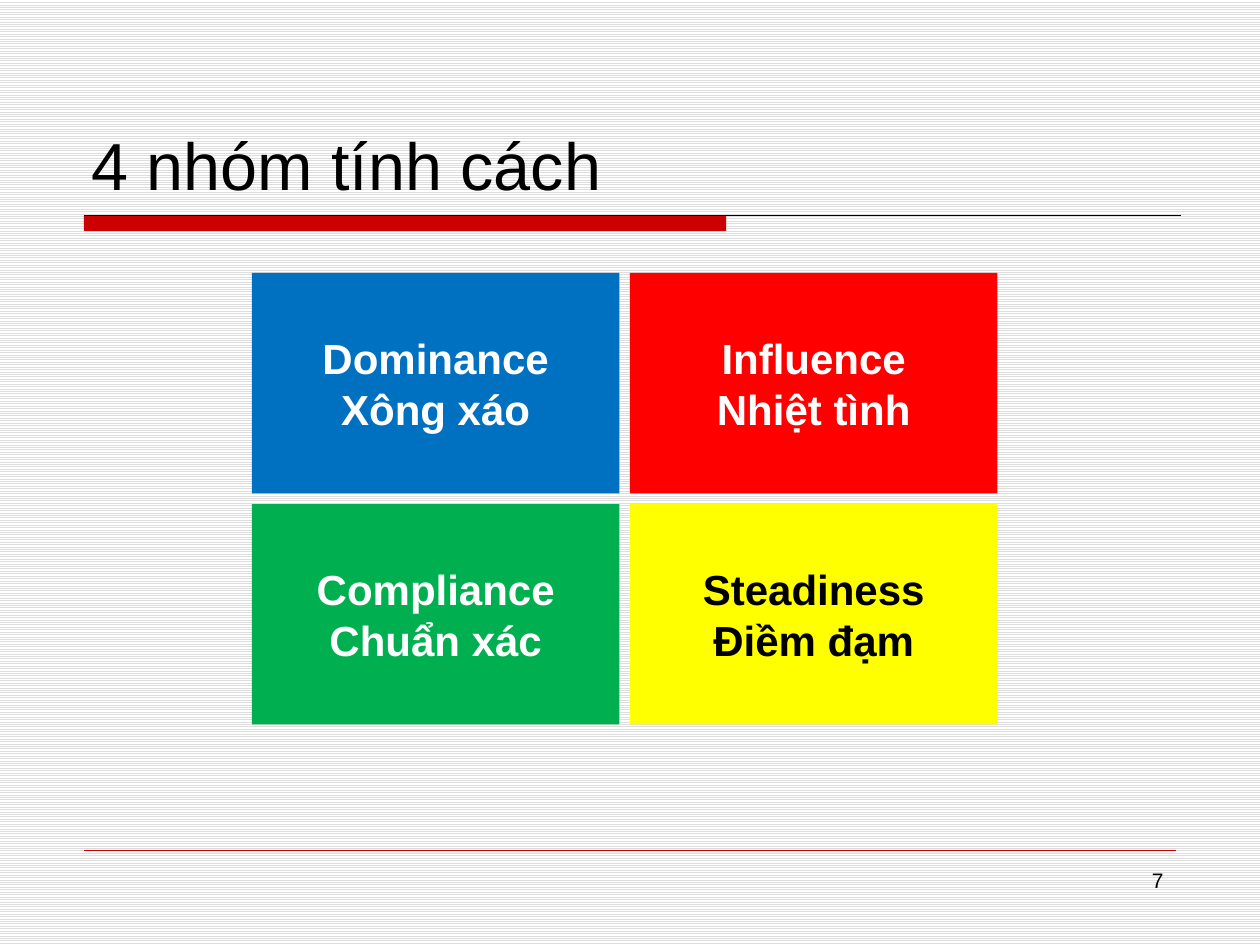
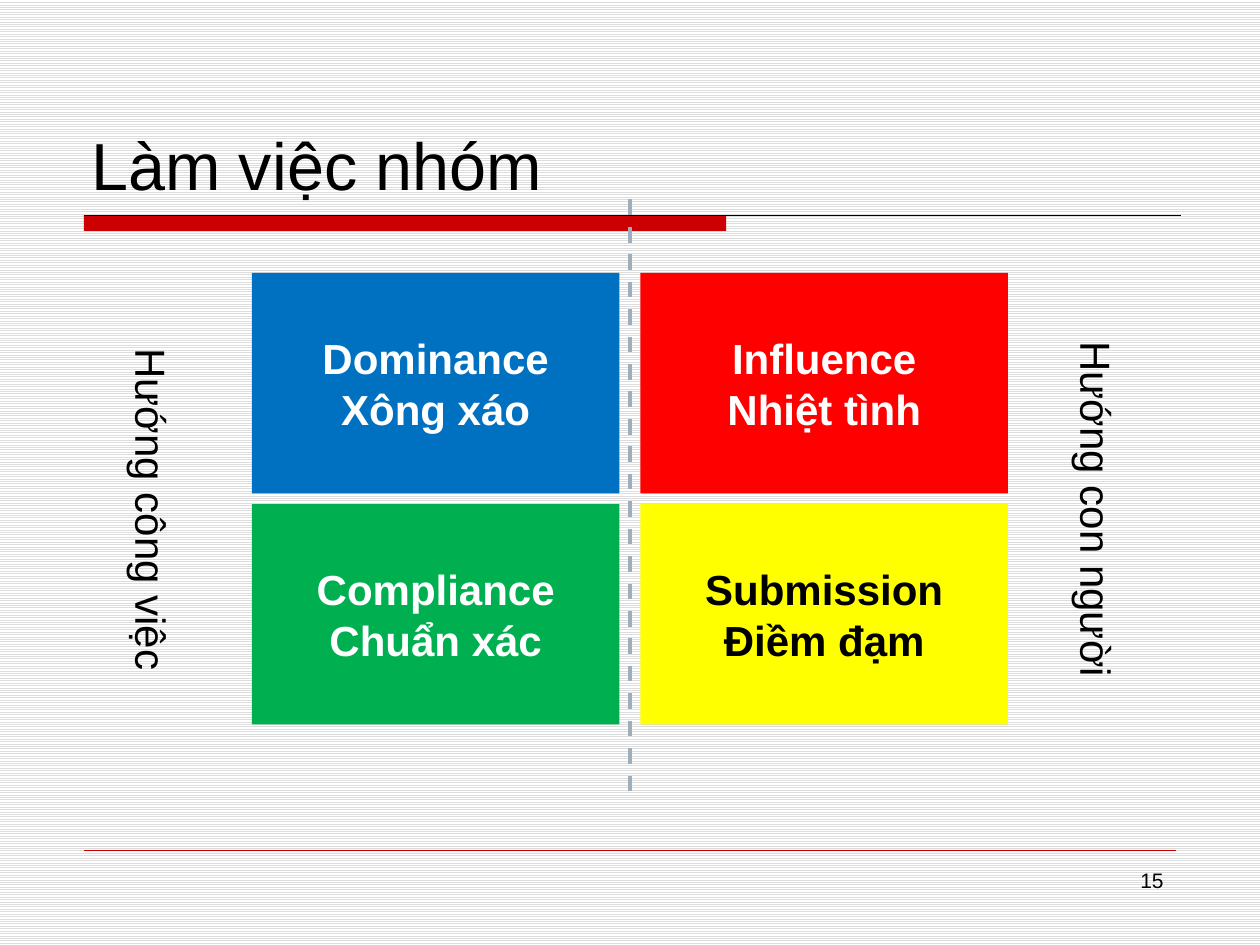
from dataclasses import dataclass

from lxml.etree import SubElement
from pptx import Presentation
from pptx.dml.color import RGBColor
from pptx.enum.dml import MSO_LINE, MSO_PATTERN
from pptx.enum.shapes import MSO_CONNECTOR, MSO_SHAPE
from pptx.enum.text import MSO_ANCHOR, PP_ALIGN
from pptx.oxml.ns import qn
from pptx.presentation import Presentation as Deck
from pptx.shapes.autoshape import Shape
from pptx.shapes.connector import Connector
from pptx.slide import Slide
from pptx.util import Pt


@dataclass(frozen=True)
class Theme:
    font: str = "Arial"
    title_size: float = 38
    body_size: float = 24
    number_size: float = 12
    ink: str = "000000"
    paper: str = "FFFFFF"
    stripe: str = "DDDDDD"
    accent: str = "CC0000"
    divider: str = "9FAEBD"
    blue: str = "0070C0"
    red: str = "FF0000"
    green: str = "00B050"
    yellow: str = "FFFF00"


@dataclass(frozen=True)
class Box:
    left: float
    top: float
    width: float
    height: float


@dataclass(frozen=True)
class Tile:
    name: str
    meaning: str
    fill: str
    ink: str


THEME = Theme()
TITLE = Box(45, 24, 630, 96)
TITLE_BAR = Box(48, 123, 367, 9)
PAGE_NUMBER = Box(516, 492, 156, 37.5)
FIRST_TILE = Box(144, 156, 210, 126)
ROW_GAP = 6
TASK_SIDE = Box(-18, 270, 210, 42)
PEOPLE_SIDE = Box(522, 270, 210, 42)

DOMINANCE = Tile("Dominance", "Xông xáo", THEME.blue, THEME.paper)
INFLUENCE = Tile("Influence", "Nhiệt tình", THEME.red, THEME.paper)
COMPLIANCE = Tile("Compliance", "Chuẩn xác", THEME.green, THEME.paper)
STEADINESS = Tile("Steadiness", "Điềm đạm", THEME.yellow, THEME.ink)
SUBMISSION = Tile("Submission", "Điềm đạm", THEME.yellow, THEME.ink)


def rgb(value: str) -> RGBColor:
    return RGBColor.from_string(value)


def write(sp: Shape, lines: list[str], size: float, color: str = THEME.ink,
          align: PP_ALIGN = PP_ALIGN.CENTER,
          anchor: MSO_ANCHOR = MSO_ANCHOR.MIDDLE, bold: bool = False) -> None:
    """Fill a shape with one paragraph per line, all in the same style."""
    tf = sp.text_frame
    tf.word_wrap = True
    tf.vertical_anchor = anchor
    tf.text = "\n".join(lines)
    for p in tf.paragraphs:
        p.alignment = align
        p.font.name = THEME.font
        p.font.size = Pt(size)
        p.font.bold = bold
        p.font.color.rgb = rgb(color)


def add_text(s: Slide, box: Box) -> Shape:
    return s.shapes.add_textbox(Pt(box.left), Pt(box.top), Pt(box.width), Pt(box.height))


def add_block(s: Slide, box: Box, fill: str) -> Shape:
    sp = s.shapes.add_shape(MSO_SHAPE.RECTANGLE, Pt(box.left), Pt(box.top),
                            Pt(box.width), Pt(box.height))
    sp.shadow.inherit = False
    sp.fill.solid()
    sp.fill.fore_color.rgb = rgb(fill)
    sp.line.fill.background()
    return sp


def add_line(s: Slide, x1: float, y1: float, x2: float, y2: float,
             color: str, width: float) -> Connector:
    line = s.shapes.add_connector(MSO_CONNECTOR.STRAIGHT, Pt(x1), Pt(y1), Pt(x2), Pt(y2))
    line.line.color.rgb = rgb(color)
    line.line.width = Pt(width)
    SubElement(line._element.spPr, qn("a:effectLst"))
    return line


def add_base_slide(prs: Deck, title: str, number: int) -> Slide:
    """Add a slide with the striped background, title, rules and page number."""
    s = prs.slides.add_slide(prs.slide_layouts[6])
    fill = s.background.fill
    fill.patterned()
    fill.pattern = MSO_PATTERN.LIGHT_HORIZONTAL
    fill.fore_color.rgb = rgb(THEME.stripe)
    fill.back_color.rgb = rgb(THEME.paper)
    add_block(s, TITLE_BAR, THEME.accent)
    add_line(s, 48, 123, 674.6, 123, THEME.ink, 0.75)
    add_line(s, 48, 486, 672, 486, THEME.accent, 0.25)
    write(add_text(s, TITLE), [title], THEME.title_size,
          align=PP_ALIGN.LEFT, anchor=MSO_ANCHOR.BOTTOM)
    write(add_text(s, PAGE_NUMBER), [str(number)], THEME.number_size,
          align=PP_ALIGN.RIGHT, anchor=MSO_ANCHOR.TOP)
    return s


def add_tiles(s: Slide, tiles: list[Tile], column_gap: float) -> None:
    """Lay four tiles out in two columns, row by row."""
    first = FIRST_TILE
    for i, tile in enumerate(tiles):
        row, column = divmod(i, 2)
        box = Box(first.left + column * (first.width + column_gap),
                  first.top + row * (first.height + ROW_GAP),
                  first.width, first.height)
        write(add_block(s, box, tile.fill), [tile.name, tile.meaning],
              THEME.body_size, tile.ink, bold=True)


def add_side_label(s: Slide, box: Box, text: str) -> None:
    sp = add_text(s, box)
    sp.rotation = 90
    write(sp, [text], THEME.body_size)


def add_personality_groups(prs: Deck) -> None:
    s = add_base_slide(prs, "4 nhóm tính cách", 7)
    add_tiles(s, [DOMINANCE, INFLUENCE, COMPLIANCE, STEADINESS], column_gap=6)


def add_teamwork(prs: Deck) -> None:
    s = add_base_slide(prs, "Làm việc nhóm", 15)
    add_tiles(s, [DOMINANCE, INFLUENCE, COMPLIANCE, SUBMISSION], column_gap=12)
    divider = add_line(s, 360, 114, 360, 458.6, THEME.divider, 2.25)
    divider.line.dash_style = MSO_LINE.DASH
    add_side_label(s, TASK_SIDE, "Hướng công việc")
    add_side_label(s, PEOPLE_SIDE, "Hướng con người")


def main() -> None:
    prs = Presentation()
    prs.slide_width, prs.slide_height = Pt(720), Pt(540)
    add_personality_groups(prs)
    add_teamwork(prs)
    prs.save("out.pptx")


if __name__ == "__main__":
    main()
